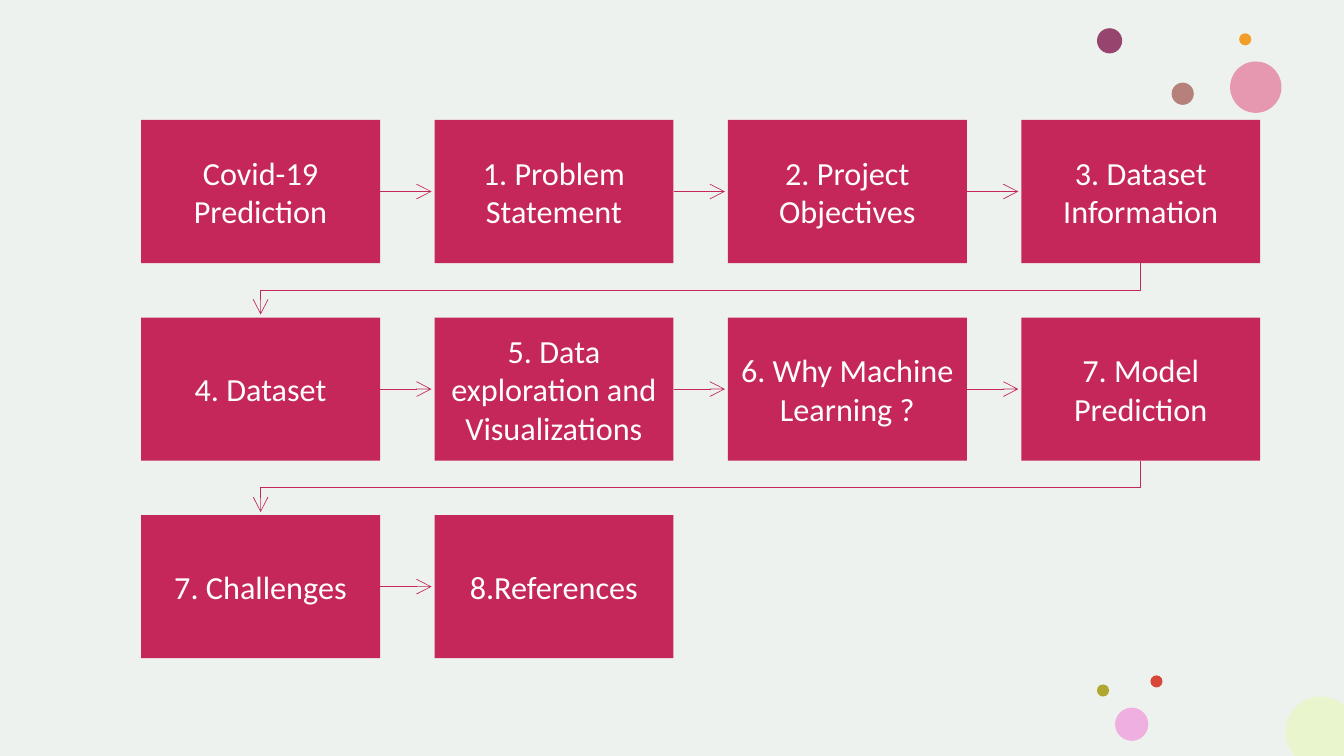
from math import acos, asin, cos, pi, sin

from lxml import etree
from pptx import Presentation
from pptx.dml.color import RGBColor
from pptx.enum.shapes import MSO_CONNECTOR, MSO_SHAPE
from pptx.enum.text import MSO_ANCHOR, PP_ALIGN
from pptx.oxml.ns import qn
from pptx.util import Inches, Pt

RECTANGLE, OVAL = MSO_SHAPE.RECTANGLE, MSO_SHAPE.OVAL
STRAIGHT = MSO_CONNECTOR.STRAIGHT
CENTER, MIDDLE = PP_ALIGN.CENTER, MSO_ANCHOR.MIDDLE

COLORS = {
    "tint": "C8D4CC", "crimson": "C5275A", "white": "FFFFFF",
    "plum": "97446E", "pink": "E47699", "orange": "F39E29", "clay": "B6817B",
    "red": "D74839", "orchid": "EFB0DF", "olive": "B0A72F", "lime": "E8F5CD",
}
SLIDE_WIDTH, SLIDE_HEIGHT = 13.33, 7.5

# Flow grid, in inches
COLUMNS = 4
LEFT, TOP = 1.4, 1.19
BOX_WIDTH, BOX_HEIGHT = 2.37, 1.42
COLUMN_STEP, ROW_STEP = 2.91, 1.96
ARROW_GAP = 0.03
STEPS = [
    "Covid-19 Prediction", "1. Problem Statement",
    "2. Project Objectives", "3. Dataset Information",
    "4. Dataset", "5. Data exploration and Visualizations",
    "6. Why Machine Learning ?", "7. Model Prediction",
    "7. Challenges", "8.References",
]
# left, top, diameter, colour, opacity in percent
DOTS = [
    (10.88, 0.28, 0.25, "plum", 100),
    (12.2, 0.61, 0.51, "pink", 72),
    (12.29, 0.33, 0.12, "orange", 100),
    (11.62, 0.82, 0.22, "clay", 100),
    (11.41, 6.7, 0.12, "red", 100),
    (11.06, 7.02, 0.33, "orchid", 100),
    (10.88, 6.79, 0.12, "olive", 100),
]


def paint(shape, color, opacity=100):
    """Give a shape a plain fill with no outline or shadow."""
    shape.shadow.inherit = False
    shape.line.fill.background()
    shape.fill.solid()
    shape.fill.fore_color.rgb = RGBColor.from_string(COLORS[color])
    if opacity < 100:
        rgb = shape.fill._xPr.find(f"{qn('a:solidFill')}/{qn('a:srgbClr')}")
        etree.SubElement(rgb, qn("a:alpha"), val=str(opacity * 1000))


def style_arrow(line):
    """Draw a thin crimson line with an open arrowhead at its end."""
    line.color.rgb = RGBColor.from_string(COLORS["crimson"])
    line.width = Pt(0.5)
    etree.SubElement(line._get_or_add_ln(), qn("a:tailEnd"), type="arrow", w="lg", len="lg")


presentation = Presentation()
presentation.slide_width = Inches(SLIDE_WIDTH)
presentation.slide_height = Inches(SLIDE_HEIGHT)
slide = presentation.slides.add_slide(presentation.slide_layouts[6])
shapes = slide.shapes

backdrop = shapes.add_shape(RECTANGLE, 0, 0, Inches(SLIDE_WIDTH), Inches(SLIDE_HEIGHT))
paint(backdrop, "tint", 30)

for left, top, diameter, color, opacity in DOTS:
    dot = shapes.add_shape(OVAL, Inches(left), Inches(top), Inches(diameter), Inches(diameter))
    paint(dot, color, opacity)

# Corner circle, cut off by the right and bottom edges of the slide
center_x, center_y, radius = 13.1, 7.26, 0.35
start = pi - asin((SLIDE_HEIGHT - center_y) / radius)
end = 2 * pi - acos((SLIDE_WIDTH - center_x) / radius)
angles = [start + (end - start) * i / 40 for i in range(41)]
arc = [(Inches(center_x + radius * cos(a)), Inches(center_y + radius * sin(a))) for a in angles]
builder = shapes.build_freeform(Inches(SLIDE_WIDTH), Inches(SLIDE_HEIGHT))
builder.add_line_segments(arc, close=True)
paint(builder.convert_to_shape(), "lime")

for index, step in enumerate(STEPS):
    row, column = divmod(index, COLUMNS)
    left = LEFT + column * COLUMN_STEP
    top = TOP + row * ROW_STEP

    box = shapes.add_shape(RECTANGLE, Inches(left), Inches(top), Inches(BOX_WIDTH), Inches(BOX_HEIGHT))
    paint(box, "crimson")
    text_frame = box.text_frame
    text_frame.text = step
    text_frame.word_wrap = True
    text_frame.vertical_anchor = MIDDLE
    text_frame.margin_left = text_frame.margin_right = Inches(0.12)
    text_frame.margin_top = text_frame.margin_bottom = Inches(0.12)
    paragraph = text_frame.paragraphs[0]
    paragraph.alignment = CENTER
    font = paragraph.runs[0].font
    font.name = "Calibri"
    font.size = Pt(23)
    font.color.rgb = RGBColor.from_string(COLORS["white"])

    if index == len(STEPS) - 1:
        continue
    if column < COLUMNS - 1:
        middle = Inches(top + BOX_HEIGHT / 2)
        arrow = shapes.add_connector(
            STRAIGHT, Inches(left + BOX_WIDTH), middle,
            Inches(left + COLUMN_STEP - ARROW_GAP), middle)
        arrow.begin_connect(box, 3)
        style_arrow(arrow.line)
        etree.SubElement(arrow._element.spPr, qn("a:effectLst"))
    else:
        from_x = Inches(left + BOX_WIDTH / 2)
        to_x = Inches(LEFT + BOX_WIDTH / 2)
        turn_y = Inches(top + (BOX_HEIGHT + ROW_STEP) / 2)
        builder = shapes.build_freeform(from_x, Inches(top + BOX_HEIGHT))
        builder.add_line_segments(
            [(from_x, turn_y), (to_x, turn_y), (to_x, Inches(top + ROW_STEP - ARROW_GAP))],
            close=False)
        return_arrow = builder.convert_to_shape()
        return_arrow.shadow.inherit = False
        return_arrow.fill.background()
        style_arrow(return_arrow.line)

presentation.save("out.pptx")
